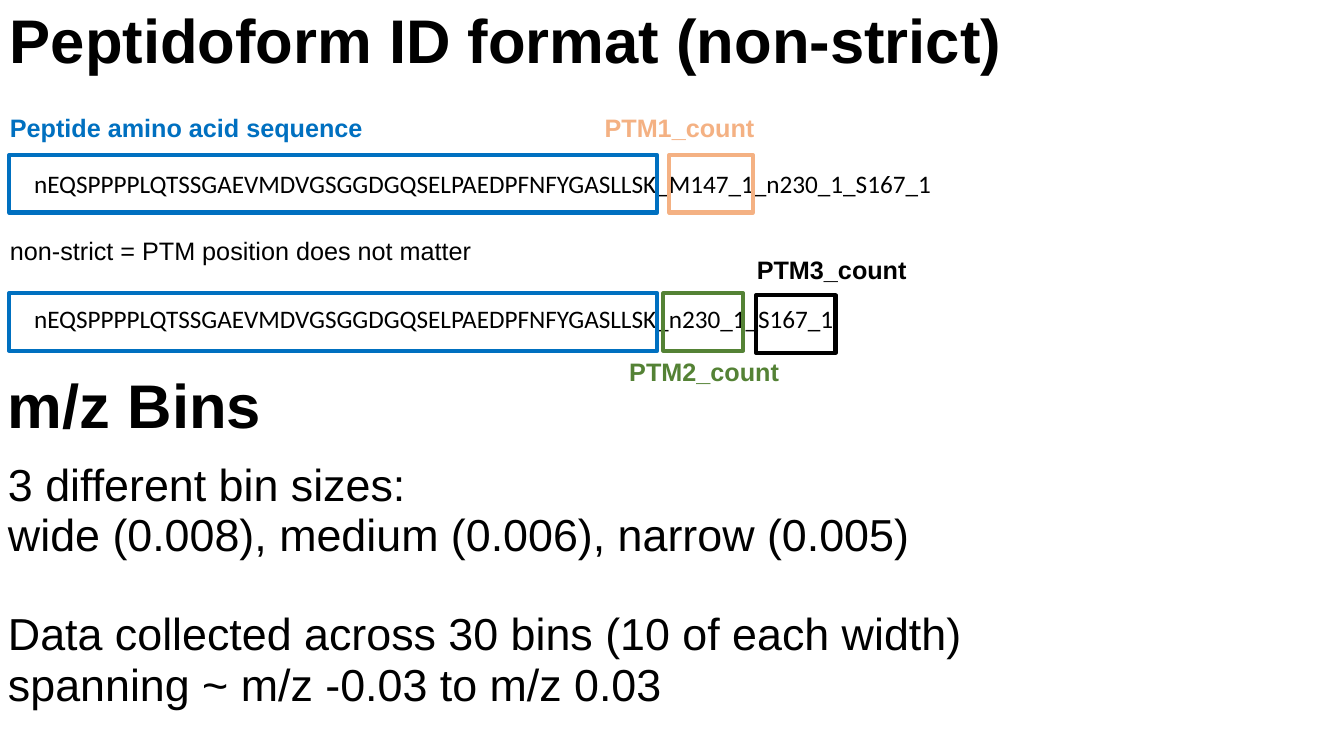
from pptx import Presentation
from pptx.dml.color import RGBColor
from pptx.enum import shapes, text
from pptx.util import Pt

# Content
BLUE, ORANGE, GREEN, BLACK = "0070C0", "F4B183", "548235", "000000"
LEFT, CENTER = text.PP_ALIGN.LEFT, text.PP_ALIGN.CENTER
PEPTIDE = "nEQSPPPPLQTSSGAEVMDVGSGGDGQSELPAEDPFNFYGASLLSK"

# Headings: text, left, top
HEADINGS = [
    ("Peptidoform ID format (non-strict)", 0, -20.9),
    ("m/z Bins", -1.4, 239.8),
]
# Peptidoform IDs: modifications, top
IDS = [("_M147_1_n230_1_S167_1", 116.6), ("_n230_1_S167_1", 213.1)]
# Labels: text, left, top, width, colour, bold, alignment
LABELS = [
    ("Peptide amino acid sequence", 0, 77, 480, BLUE, True, LEFT),
    ("PTM1_count", 424.8, 77, 132.5, ORANGE, True, LEFT),
    ("PTM2_count", 437.8, 251.3, 130.3, GREEN, True, CENTER),
    ("PTM3_count", 533.5, 177.8, 130.3, BLACK, True, LEFT),
    ("non-strict = PTM position does not matter", 0, 164.2, 479.5, BLACK, False, LEFT),
]
# Frames: left, top, width, colour
FRAMES = [
    (6.5, 110.9, 463, BLUE),
    (478.1, 110.9, 59.8, ORANGE),
    (6.5, 209.5, 463, BLUE),
    (473.8, 209.5, 56.9, GREEN),
    (540, 211, 56.9, BLACK),
]
# Bin notes: line, gap below
BIN_NOTES = [
    ("3 different bin sizes:", 1.5),
    ("wide (0.008), medium (0.006), narrow (0.005)", 36.2),
    ("Data collected across 30 bins (10 of each width)", 1.5),
    ("spanning ~ m/z -0.03 to m/z 0.03", 0),
]
FRAME_HEIGHT, LABEL_HEIGHT, HEADING_HEIGHT = 41, 28.8, 104.4


def colour(value):
    return RGBColor.from_string(value)


def add_text(page, lines, place, size, font="Arial", ink=BLACK, bold=False,
             align=LEFT, spacing=1.0, anchor=text.MSO_ANCHOR.TOP):
    """Add a text box; lines holds (text, gap below) pairs."""
    box = page.shapes.add_textbox(*map(Pt, place))
    frame = box.text_frame
    frame.word_wrap = True
    frame.vertical_anchor = anchor
    for index, (line, gap) in enumerate(lines):
        para = frame.add_paragraph() if index else frame.paragraphs[0]
        layout = {"alignment": align, "line_spacing": spacing,
                  "space_before": Pt(0), "space_after": Pt(gap)}
        for name, value in layout.items():
            setattr(para, name, value)
        span = para.add_run()
        span.text = line
        for name, value in {"name": font, "size": Pt(size), "bold": bold}.items():
            setattr(span.font, name, value)
        span.font.color.rgb = colour(ink)


def add_frame(page, left, top, width, ink):
    place = map(Pt, (left, top, width, FRAME_HEIGHT))
    box = page.shapes.add_shape(shapes.MSO_SHAPE.RECTANGLE, *place)
    box.shadow.inherit = False
    box.fill.background()
    box.line.color.rgb = colour(ink)
    box.line.width = Pt(3)


def main():
    deck = Presentation()
    deck.slide_width, deck.slide_height = Pt(960), Pt(540)
    page = deck.slides.add_slide(deck.slide_layouts[6])

    # Peptidoform IDs with the frames and labels that explain them
    for modifications, top in IDS:
        add_text(page, [(PEPTIDE + modifications, 0)],
                 (17.3, top, 743.8, LABEL_HEIGHT), 18, font="Calibri")
    for frame in FRAMES:
        add_frame(page, *frame)
    for label, left, top, width, ink, bold, align in LABELS:
        add_text(page, [(label, 0)], (left, top, width, LABEL_HEIGHT), 18,
                 ink=ink, bold=bold, align=align)

    # Headings and bin notes
    for heading, left, top in HEADINGS:
        add_text(page, [(heading, 0)], (left, top, 828, HEADING_HEIGHT), 44,
                 bold=True, spacing=0.9, anchor=text.MSO_ANCHOR.MIDDLE)
    add_text(page, BIN_NOTES, (-1.4, 326.9, 960, 178.6), 32, spacing=0.9)

    deck.save("out.pptx")


if __name__ == "__main__":
    main()
